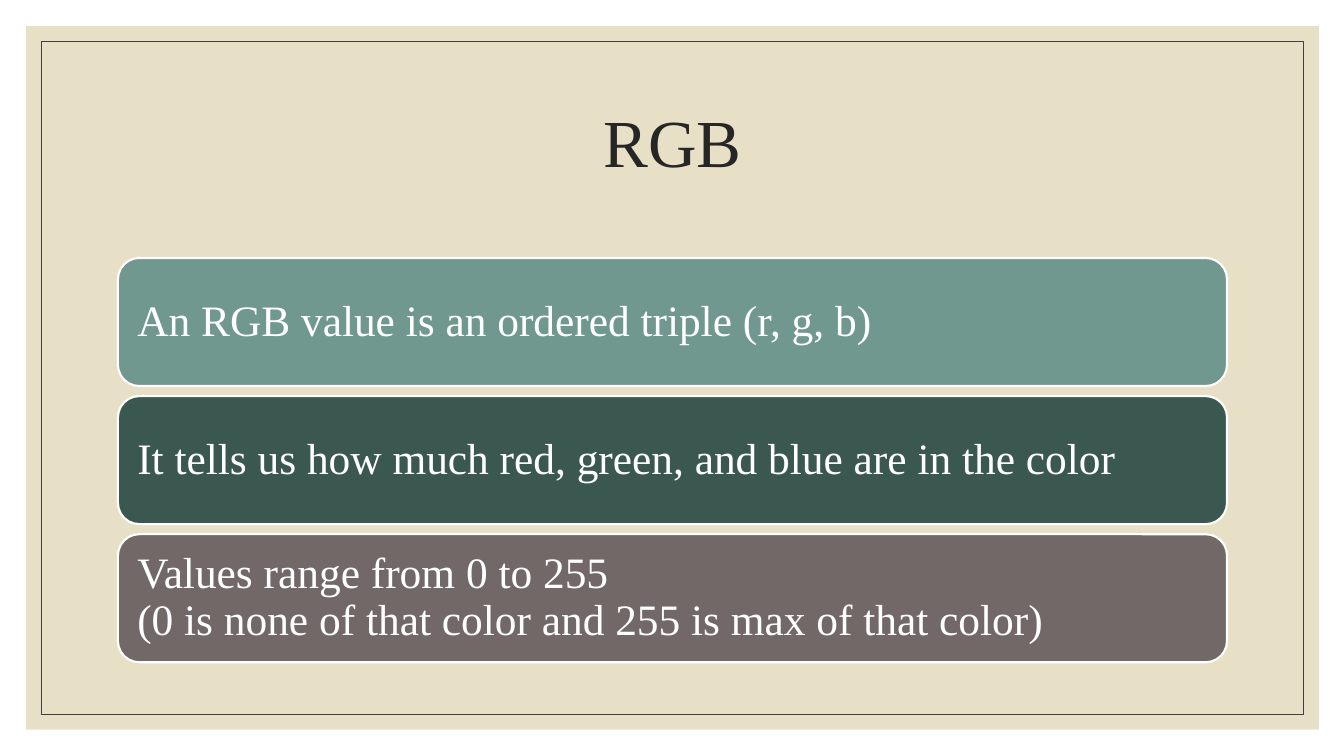
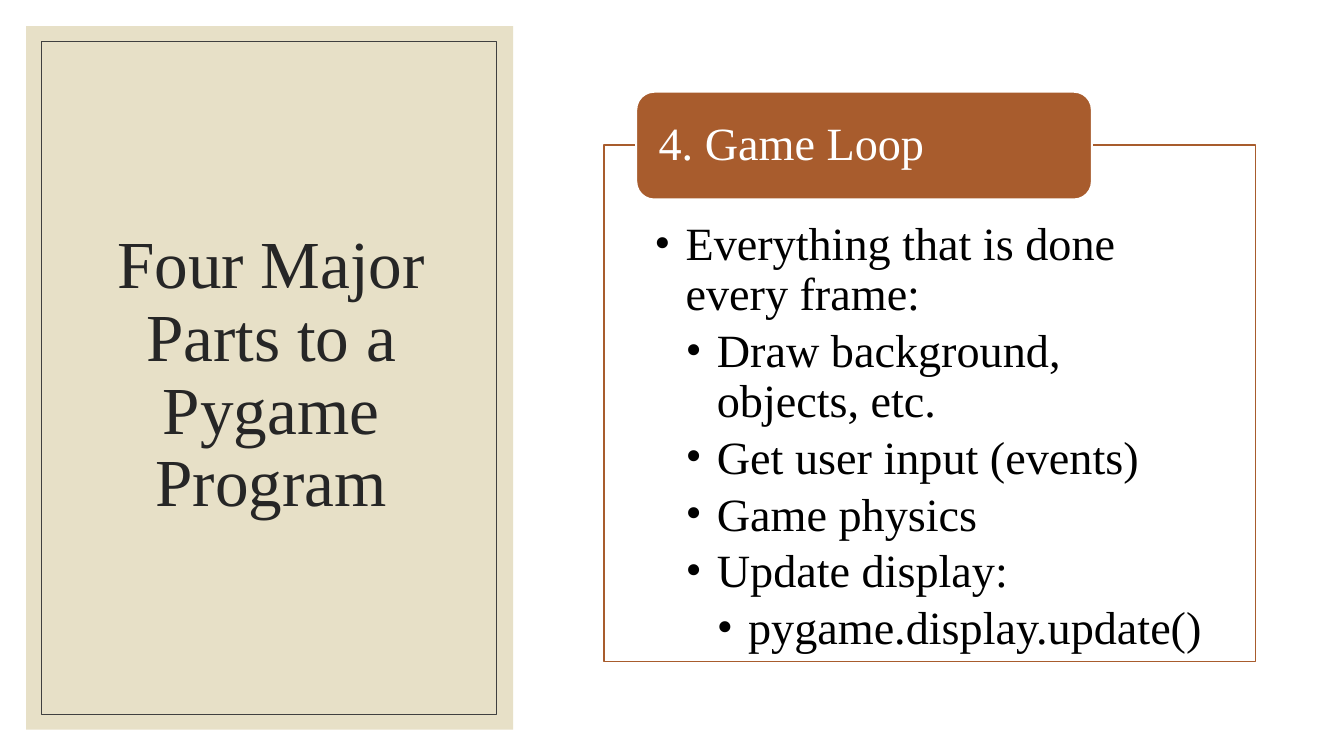
from lxml import etree
from pptx import Presentation
from pptx.dml.color import RGBColor
from pptx.enum import shapes, text
from pptx.oxml.ns import qn
from pptx.util import Inches, Pt

FONT = "Times New Roman"
WHITE = RGBColor(0xFF, 0xFF, 0xFF)
BLACK = RGBColor(0x00, 0x00, 0x00)
SAND = RGBColor(0xE7, 0xE0, 0xC7)
FRAME = RGBColor(0x40, 0x40, 0x40)
TITLE = RGBColor(0x26, 0x26, 0x26)
SAGE = RGBColor(0x70, 0x98, 0x8E)
PINE = RGBColor(0x3A, 0x57, 0x50)
TAUPE = RGBColor(0x72, 0x68, 0x68)
RUST = RGBColor(0xA8, 0x5C, 0x2D)

RECT = shapes.MSO_SHAPE.RECTANGLE
ROUND = shapes.MSO_SHAPE.ROUNDED_RECTANGLE
MIDDLE = text.MSO_ANCHOR.MIDDLE
TOP = text.MSO_ANCHOR.TOP
LEFT = text.PP_ALIGN.LEFT
CENTER = text.PP_ALIGN.CENTER

RGB_FACTS = [
    ("An RGB value is an ordered triple (r, g, b)", SAGE),
    ("It tells us how much red, green, and blue are in the color", PINE),
    ("Values range from 0 to 255\v"
     "(0 is none of that color and 255 is max of that color)", TAUPE),
]
LOOP_STEPS = [
    (1, "Everything that is done every frame:"),
    (2, "Draw background, objects, etc."),
    (2, "Get user input (events)"),
    (2, "Game physics"),
    (2, "Update display:"),
    (3, "pygame.display.update()"),
]
INDENT = 0.31


def add_box(s, kind, box, fill=None, line=None, width=1.0):
    sp = s.shapes.add_shape(kind, *map(Inches, box))
    sp.shadow.inherit = False
    if fill is None:
        sp.fill.background()
    else:
        sp.fill.solid()
        sp.fill.fore_color.rgb = fill
    if line is None:
        sp.line.fill.background()
    else:
        sp.line.color.rgb = line
        sp.line.width = Pt(width)
    return sp


def set_bullet(p, level):
    p.level = level - 1
    pPr = p._p.get_or_add_pPr()
    pPr.set("marL", str(Inches(INDENT * level)))
    pPr.set("indent", str(-Inches(INDENT)))
    etree.SubElement(pPr, qn("a:buFont")).set("typeface", FONT)
    etree.SubElement(pPr, qn("a:buChar")).set("char", "•")


def write(sp, items, size, color, align=LEFT, anchor=MIDDLE,
          margins=(0.1, 0.05, 0.1, 0.05), after=0):
    tf = sp.text_frame
    tf.word_wrap = True
    tf.auto_size = text.MSO_AUTO_SIZE.NONE
    tf.vertical_anchor = anchor
    (tf.margin_left, tf.margin_top,
     tf.margin_right, tf.margin_bottom) = map(Inches, margins)
    for i, (level, words) in enumerate(items):
        p = tf.paragraphs[0] if i == 0 else tf.add_paragraph()
        p.text = words
        if level:
            set_bullet(p, level)
        p.alignment = align
        p.line_spacing = 0.9
        p.space_before = Pt(0)
        p.space_after = Pt(after)
        for r in p.runs:
            r.font.name = FONT
            r.font.size = Pt(size)
            r.font.color.rgb = color


def add_slide(prs, title, title_box, panel_width, frame_width):
    s = prs.slides.add_slide(prs.slide_layouts[5])
    add_box(s, RECT, (0.26, 0.26, panel_width, 6.98), fill=SAND)
    add_box(s, RECT, (0.41, 0.41, frame_width, 6.68), line=FRAME, width=0.5)
    sp = s.shapes.title
    sp.left, sp.top, sp.width, sp.height = map(Inches, title_box)
    write(sp, [(0, title)], 48, TITLE, align=CENTER)
    s.shapes._spTree.append(sp._element)
    return s


def build_rgb(prs):
    s = add_slide(prs, "RGB", (1.17, 0.7, 11, 1.5), 12.82, 12.52)
    for i, (words, fill) in enumerate(RGB_FACTS):
        bar = add_box(s, ROUND, (1.17, 2.56 + 1.37 * i, 11, 1.27),
                      fill=fill, line=WHITE, width=1.5)
        write(bar, [(0, words)], 31, WHITE, margins=(0.13,) * 4)


def build_game_loop(prs):
    s = add_slide(prs, "Four Major Parts to a Pygame Program",
                  (0.63, 0.61, 4.12, 6.24), 4.83, 4.51)
    steps = add_box(s, RECT, (5.99, 1.44, 6.46, 5.12), fill=WHITE, line=RUST)
    write(steps, LOOP_STEPS, 33, BLACK, anchor=TOP,
          margins=(0.5, 0.75, 0.45, 0.26), after=5)
    header = add_box(s, ROUND, (6.31, 0.91, 4.52, 1.07),
                     fill=RUST, line=WHITE, width=1.5)
    write(header, [(0, "4. Game Loop")], 33, WHITE, margins=(0.17, 0, 0.17, 0))


def main():
    prs = Presentation()
    prs.slide_width, prs.slide_height = Inches(13.33), Inches(7.5)
    build_rgb(prs)
    build_game_loop(prs)
    prs.save("out.pptx")


if __name__ == "__main__":
    main()
